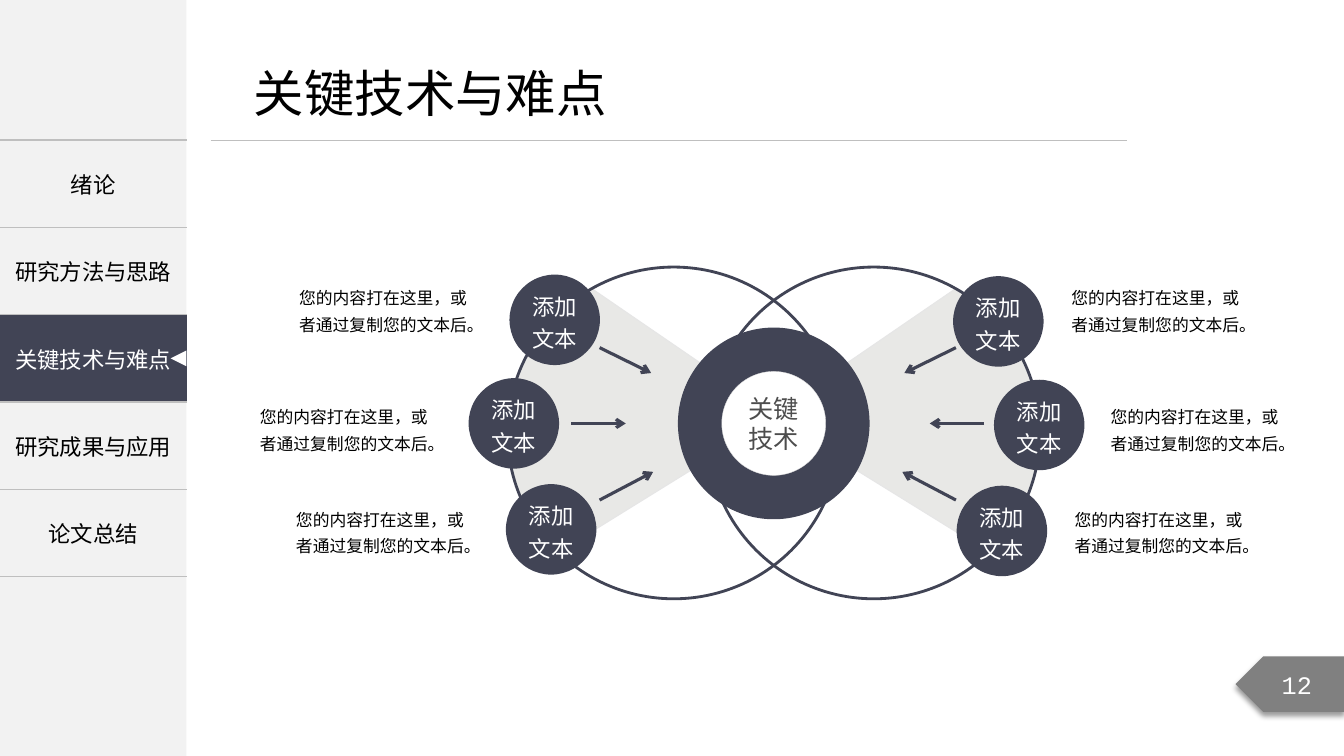
import pptx
import pptx.dml.color
import pptx.enum.shapes
import pptx.enum.text
import pptx.oxml
import pptx.oxml.ns
import pptx.util

Cm = pptx.util.Cm
Pt = pptx.util.Pt
RGB = pptx.dml.color.RGBColor
SHAPE = pptx.enum.shapes.MSO_SHAPE
ALIGN = pptx.enum.text.PP_ALIGN
MIDDLE = pptx.enum.text.MSO_ANCHOR.MIDDLE

NAVY = RGB(0x41, 0x44, 0x55)
WHITE = RGB(0xFF, 0xFF, 0xFF)
BLACK = RGB(0, 0, 0)
PANEL = RGB(0xF2, 0xF2, 0xF2)
RULE = RGB(0xBF, 0xBF, 0xBF)
TAG = RGB(0x80, 0x80, 0x80)
FAN = RGB(0xE8, 0xE8, 0xE6)
FAN_EDGE = RGB(0xE6, 0xE6, 0xE6)
HUB_EDGE = RGB(0xD7, 0xD7, 0xD7)
HUB_TEXT = RGB(0x4D, 0x4D, 0x4D)
CJK = "Noto Sans CJK SC"

MENU = ["绪论", "研究方法与思路", "关键技术与难点", "研究成果与应用", "论文总结"]
ACTIVE = 2
NOTE = "您的内容打在这里，或者通过复制您的文本后。"

# Left half of the diagram, in cm from its centre
NODES = [(-5.52, -2.85), (-6.55, -0.24), (-5.61, 2.43)]
NOTES = [(-12.16, -3.9), (-13.15, -0.9), (-12.24, 1.69)]
ARROWS = [((-4.39, -2.15), (-3.09, -1.51)),
          ((-5.1, -0.24), (-3.73, -0.24)),
          ((-4.39, 1.69), (-3.04, 0.98))]
FAN_TOP = [(-6.11, -2.1), (-5.45, -3.01), (-5.61, -2.93), (-4.56, -3.62)]
FAN_LOW = [(-5.43, 3.01), (-6.77, 1.36), (-6.62, 0.8), (-6.7, -0.06)]
FAN_SIDE = [(-6.7, -0.06), (-6.65, -0.75), (-6.5, -1.49), (-6.11, -2.1)]
FAN_TIP = (0.11, -0.42)


def xml(tag, inner="", **attrs):
    pairs = "".join(f' {k}="{v}"' for k, v in attrs.items())
    ns = pptx.oxml.ns.nsdecls("a")
    return pptx.oxml.parse_xml(f"<a:{tag} {ns}{pairs}>{inner}</a:{tag}>")


def add_text(tf, text, size, font, color, align=ALIGN.CENTER, spacing=None):
    p = tf.paragraphs[0]
    p.text = text
    p.alignment = align
    if spacing:
        p.line_spacing = spacing
    p.font.size = Pt(size)
    p.font.name = font
    p.font.color.rgb = color


def set_insets(tf):
    tf.margin_left = tf.margin_right = Cm(0.2)
    tf.margin_top = tf.margin_bottom = Cm(0.1)


def style(sp, fill=None, line=None, width=0.75):
    sp.shadow.inherit = False
    if fill is None:
        sp.fill.background()
    else:
        sp.fill.solid()
        sp.fill.fore_color.rgb = fill
    if line is None:
        sp.line.fill.background()
    else:
        sp.line.color.rgb = line
        sp.line.width = Pt(width)


def add_shape(s, kind, x, y, w, h, *look):
    sp = s.shapes.add_shape(kind, Cm(x), Cm(y), Cm(w), Cm(h))
    style(sp, *look)
    sp.text_frame.vertical_anchor = MIDDLE
    sp.text_frame.word_wrap = True
    return sp


def add_disc(s, cx, cy, w, h, *look):
    """Add an ellipse placed by its centre."""
    return add_shape(s, SHAPE.OVAL, cx - w / 2, cy - h / 2, w, h, *look)


def add_line(s, x1, y1, x2, y2, color, width):
    line = s.shapes.add_connector(pptx.enum.shapes.MSO_CONNECTOR.STRAIGHT,
                                  Cm(x1), Cm(y1), Cm(x2), Cm(y2))
    line.line.color.rgb = color
    line.line.width = Pt(width)
    line._element.spPr.append(xml("effectLst"))
    return line


def style_cell(cell, active):
    cell.vertical_anchor = MIDDLE
    if active:
        cell.fill.solid()
        cell.fill.fore_color.rgb = NAVY
    else:
        cell.fill.background()
    paint = f'<a:solidFill><a:srgbClr val="{RULE}"/></a:solidFill>'
    borders = [xml("lnL", "<a:noFill/>"), xml("lnR", "<a:noFill/>"),
               xml("lnT", paint, w=Pt(1)), xml("lnB", paint, w=Pt(1))]
    tcPr = cell._tc.get_or_add_tcPr()
    for i, border in enumerate(borders):
        tcPr.insert(i, border)


def add_menu(s, x, y, w, h):
    add_shape(s, SHAPE.RECTANGLE, x, y, w, h, PANEL)
    top, row_h = y + 3.53, 2.2
    table = s.shapes.add_table(len(MENU), 1, Cm(x), Cm(top), Cm(w),
                               Cm(row_h * len(MENU))).table
    table.first_row = table.horz_banding = False
    for i, label in enumerate(MENU):
        cell = table.cell(i, 0)
        style_cell(cell, i == ACTIVE)
        add_text(cell.text_frame, label, 16, CJK, WHITE if i == ACTIVE else BLACK)
    size = 0.4
    marker = add_shape(s, SHAPE.ISOSCELES_TRIANGLE, x + w - size,
                       top + row_h * (ACTIVE + 0.5) - size / 2, size, size, WHITE)
    marker.rotation = 270


def add_title(s, x, y, w, h):
    add_line(s, x, y + h, x + w, y + h, RULE, 0.5)
    tf = s.shapes.add_textbox(Cm(x + 0.84), Cm(y), Cm(9.5), Cm(1.8)).text_frame
    tf.word_wrap = False
    add_text(tf, MENU[ACTIVE], 36, CJK, BLACK, ALIGN.LEFT)


def add_page_tag(s, x, y, w, h):
    tag = add_shape(s, SHAPE.PENTAGON, x, y, w, h, TAG)
    tag._element.spPr.xfrm.set("flipH", "1")
    effects = tag._element.spPr.find(pptx.oxml.ns.qn("a:effectLst"))
    effects.append(xml("outerShdw",
                       '<a:srgbClr val="000000"><a:alpha val="40000"/></a:srgbClr>',
                       blurRad=Pt(4), dist=Pt(3), dir=90 * 60000))
    add_text(tag.text_frame, "12", 18, "Courier New", WHITE)


def curve(a, b, c, d, steps=16):
    """Points along a cubic Bezier curve."""
    for t in (i / steps for i in range(steps + 1)):
        u = 1 - t
        yield tuple(u**3 * i + 3 * u * u * t * j + 3 * u * t * t * k + t**3 * m
                    for i, j, k, m in zip(a, b, c, d))


def add_fan(s, cx, cy, side):
    outline = [*curve(*FAN_TOP), FAN_TIP, *curve(*FAN_LOW), *curve(*FAN_SIDE)]
    points = [(Cm(cx - side * px), Cm(cy + py)) for px, py in outline]
    fb = s.shapes.build_freeform(*points[0])
    fb.add_line_segments(points[1:], close=True)
    style(fb.convert_to_shape(), FAN, FAN_EDGE)


def add_side(s, cx, cy, side):
    """Add arrows, nodes and notes; side is -1 for left and 1 for right."""
    right = side > 0
    for (x1, y1), (x2, y2) in ARROWS:
        ax = cx + 0.2 * right
        arrow = add_line(s, ax - side * x1, cy + y1, ax - side * x2, cy + y2, NAVY, 2.25)
        arrow.line._get_or_add_ln().append(xml("tailEnd", type="arrow"))
    for px, py in NODES:
        node = add_disc(s, cx - side * px + 0.14 * right, cy + py + 0.04 * right,
                        2.28, 2.28, NAVY)
        set_insets(node.text_frame)
        add_text(node.text_frame, "添加文本", 16, "Arial", WHITE, spacing=1.2)
    w = 4.93
    for px, py in NOTES:
        left = cx - px - w + 0.07 if right else cx + px
        tf = s.shapes.add_textbox(Cm(left), Cm(cy + py), Cm(w), Cm(1.55)).text_frame
        tf.word_wrap = True
        set_insets(tf)
        add_text(tf, NOTE, 12, CJK, BLACK, ALIGN.LEFT, 1.3)


def add_diagram(s, x, y, w, h):
    cx, cy = x + w / 2, y + h / 2
    sides = (-1, 1)
    for side in sides:
        add_fan(s, cx, cy, side)
    for side in sides:
        add_disc(s, cx + side * 2.52, cy, 8.38, 8.36, None, NAVY, 2)
    hub_y = cy - 0.24
    add_disc(s, cx, hub_y, 4.83, 4.83, NAVY)
    hub = add_disc(s, cx, hub_y, 2.62, 2.62, WHITE, HUB_EDGE, 0.25)
    add_text(hub.text_frame, "关键技术", 18, "Arial Narrow", HUB_TEXT)
    for side in sides:
        add_side(s, cx, cy, side)


def main():
    prs = pptx.Presentation()
    prs.slide_width, prs.slide_height = Cm(33.87), Cm(19.05)
    s = prs.slides.add_slide(prs.slide_layouts[6])
    add_menu(s, 0, 0, 4.7, 19.05)
    add_title(s, 5.31, 1.45, 23.09, 2.08)
    add_page_tag(s, 31.14, 16.54, 2.74, 1.4)
    add_diagram(s, 6.35, 6.73, 26.3, 8.36)
    prs.save("out.pptx")


if __name__ == "__main__":
    main()
